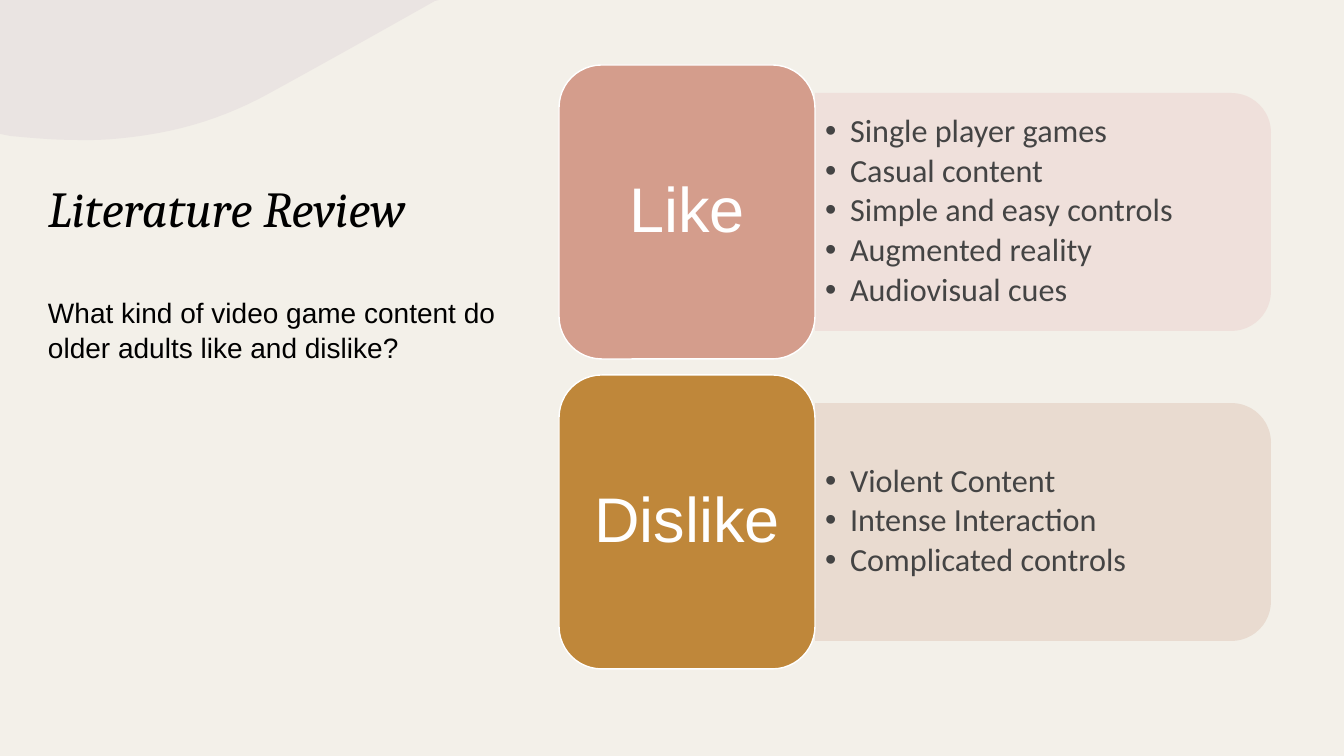
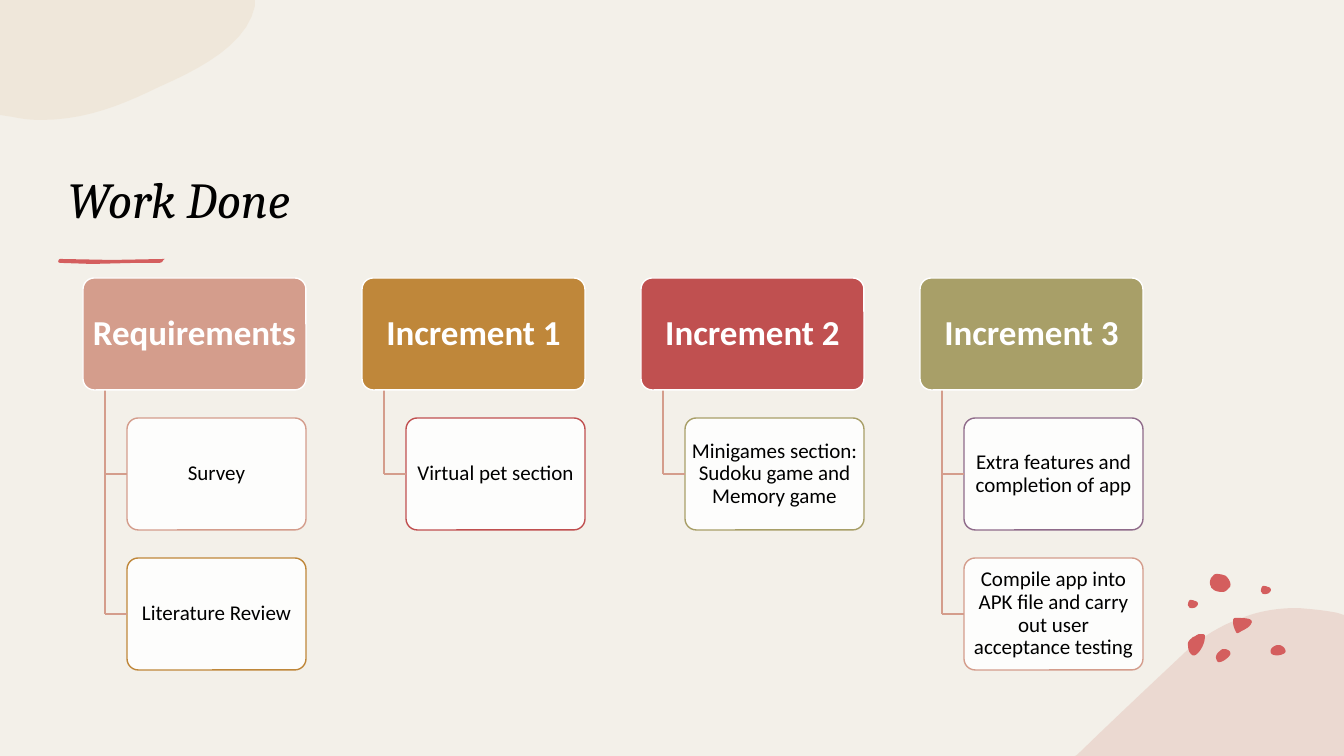
from itertools import cycle

from lxml.etree import SubElement
from pptx import Presentation
from pptx.dml.color import RGBColor
from pptx.enum.shapes import MSO_CONNECTOR, MSO_SHAPE
from pptx.enum.text import MSO_ANCHOR, MSO_AUTO_SIZE, PP_ALIGN
from pptx.oxml.ns import qn
from pptx.util import Emu, Pt

EMU_PER_PX = 914400 / 100.8
SLIDE_W, SLIDE_H = 1344, 756
CURVE_STEPS = 10

CREAM = RGBColor(0xF3, 0xF0, 0xE9)
WHITE = RGBColor(0xFF, 0xFF, 0xFF)
BLACK = RGBColor(0x00, 0x00, 0x00)
GREY = RGBColor(0x44, 0x44, 0x44)
ROSE = RGBColor(0xD4, 0x9D, 0x8C)
OCHRE = RGBColor(0xBF, 0x87, 0x3A)
RED = RGBColor(0xC0, 0x50, 0x50)
OLIVE = RGBColor(0xA8, 0x9F, 0x68)
PLUM = RGBColor(0x8F, 0x6B, 0x8A)
CORAL = RGBColor(0xD4, 0x5E, 0x5E)
MAUVE = RGBColor(0xD2, 0xC4, 0xD0)
SAND = RGBColor(0xE7, 0xCF, 0xAF)
BLUSH = RGBColor(0xE5, 0xC4, 0xBA)
PALE_ROSE = RGBColor(0xEF, 0xDF, 0xDA)
PALE_OCHRE = RGBColor(0xE8, 0xD9, 0xCE)
ACCENTS = (ROSE, OCHRE, RED, OLIVE, PLUM)

TITLE = {"name": "Cambria", "size": Pt(36), "italic": True, "bold": False}
QUESTION = {"name": "Arial", "size": Pt(20)}
LIST_ITEM = {"name": "Calibri", "size": Pt(23)}
VERDICT = {"name": "Arial", "size": Pt(45)}
STAGE = {"name": "Calibri", "size": Pt(25), "bold": True}
TASK = {"name": "Calibri", "size": Pt(15)}

CENTRED = {"alignment": PP_ALIGN.CENTER, "line_spacing": 0.9}
LEFT = {"alignment": PP_ALIGN.LEFT}
BULLETED = {"alignment": PP_ALIGN.LEFT, "line_spacing": 0.9,
            "space_before": Pt(0), "space_after": Pt(3.5)}

# Outlines: a pair is a straight step, six numbers are a Bézier step.
MAUVE_CORNER = [(75, 140), (53, 140, 31, 138, 10, 136), (0, 134), (0, 0), (439, 0),
                (435, 1), (380, 32, 323, 64, 270, 93), (234, 113, 197, 126, 159, 133),
                (131, 138, 103, 141, 75, 140)]
SAND_CORNER = [(0, 0), (255, 0), (255, 6), (247, 44, 202, 68, 159, 87),
               (124, 104, 87, 120, 41, 120), (31, 120, 22, 119, 13, 117), (0, 115)]
BLUSH_CORNER = [(1298, 608), (1310, 609, 1324, 610, 1338, 613), (1344, 615),
                (1344, 756), (1075, 756), (1077, 755),
                (1111, 722, 1146, 689, 1178, 659), (1201, 636, 1223, 624, 1247, 616),
                (1264, 610, 1281, 608, 1298, 608)]
BRUSH_STROKE = [(60, 259), (112, 260), (165, 259), (162, 260, 164, 263, 158, 263),
                (134, 263), (92, 264), (61, 263), (57, 263, 58, 260, 60, 259)]
PEBBLE = [(1261, 591), (1261, 591, 1261, 587, 1263, 586),
          (1265, 586, 1266, 586, 1268, 587), (1269, 587, 1271, 588, 1271, 590),
          (1271, 591, 1270, 592, 1269, 593), (1268, 594, 1263, 595, 1262, 593),
          (1262, 592, 1261, 592, 1261, 591)]
SPECKLES = [
    [(1223, 649), (1225, 649, 1226, 649, 1228, 650), (1230, 651, 1231, 653, 1230, 655),
     (1228, 658, 1222, 663, 1218, 662), (1217, 661, 1216, 659, 1216, 657),
     (1216, 655, 1218, 652, 1220, 651), (1221, 650, 1222, 649, 1223, 649)],
    [(1200, 634), (1203, 634, 1205, 634, 1205, 636), (1205, 643, 1202, 648, 1199, 652),
     (1196, 655, 1194, 657, 1191, 654), (1188, 651, 1188, 646, 1188, 643),
     (1189, 640, 1191, 639, 1193, 637), (1195, 637, 1197, 634, 1200, 634)],
    [(1279, 645), (1281, 645, 1284, 647, 1285, 649), (1286, 651, 1286, 653, 1283, 654),
     (1280, 656, 1272, 656, 1271, 653), (1270, 651, 1271, 649, 1272, 648),
     (1274, 646, 1276, 645, 1279, 645)],
    [(1211, 586), (1210, 586, 1209, 580, 1212, 577), (1214, 575, 1214, 574, 1217, 574),
     (1220, 574, 1224, 575, 1226, 576), (1228, 578, 1232, 583, 1230, 587),
     (1227, 590, 1226, 592, 1222, 592), (1219, 592, 1214, 591, 1213, 589),
     (1211, 588, 1211, 587, 1211, 586)],
    [(1238, 618), (1244, 618, 1255, 618, 1251, 624), (1249, 628, 1243, 630, 1240, 632),
     (1238, 633, 1237, 634, 1236, 632), (1234, 628, 1233, 625, 1233, 621),
     (1233, 617, 1236, 618, 1238, 618)],
    PEBBLE,
    [tuple(n + (-73, 14)[i % 2] for i, n in enumerate(step)) for step in PEBBLE],
]

OPINIONS = [
    ("Like", ROSE, PALE_ROSE,
     ["Single player games", "Casual content", "Simple and easy controls",
      "Augmented reality", "Audiovisual cues"]),
    ("Dislike", OCHRE, PALE_OCHRE,
     ["Violent Content", "Intense Interaction", "Complicated controls"]),
]
STAGES = [
    ("Requirements", ["Survey", "Literature Review"]),
    ("Increment 1", ["Virtual pet section"]),
    ("Increment 2", ["Minigames section: Sudoku game and Memory game"]),
    ("Increment 3", ["Extra features and completion of app",
                     "Compile app into APK file and carry out user acceptance testing"]),
]


def px(length):
    return Emu(round(length * EMU_PER_PX))


def apply(target, values):
    for attribute, value in values.items():
        setattr(target, attribute, value)


def place(shape, left, top, width, height):
    apply(shape, {"left": px(left), "top": px(top),
                  "width": px(width), "height": px(height)})


def write(shape, lines, font, color, paragraph_format, anchor, margins=(10, 5)):
    """Fill a shape with one formatted paragraph per line."""
    frame = shape.text_frame
    side, end = map(px, margins)
    apply(frame, {"word_wrap": True, "auto_size": MSO_AUTO_SIZE.NONE,
                  "vertical_anchor": anchor, "margin_left": side,
                  "margin_right": side, "margin_top": end, "margin_bottom": end})
    frame.text = "\n".join(lines)
    for paragraph in frame.paragraphs:
        apply(paragraph, paragraph_format)
        run_font = paragraph.runs[0].font
        apply(run_font, font)
        run_font.color.rgb = color


def paint(shape, fill, line=None, opacity=100):
    shape.shadow.inherit = False
    shape.fill.solid()
    shape.fill.fore_color.rgb = fill
    if opacity < 100:
        color = shape.element.spPr.find(qn("a:solidFill"))[0]
        SubElement(color, qn("a:alpha"), val=str(opacity * 1000))
    if line is None:
        shape.line.fill.background()
    else:
        shape.line.color.rgb = line
        shape.line.width = Pt(1)


def add_title(slide, text, box, anchor):
    title = slide.shapes.title
    place(title, *box)
    write(title, [text], TITLE, BLACK, LEFT, anchor)


def flatten(outline):
    """Turn straight and Bézier steps into a list of points."""
    points = [outline[0]]
    for step in outline[1:]:
        if len(step) == 2:
            points.append(step)
            continue
        corners = [points[-1], step[:2], step[2:4], step[4:]]
        for i in range(1, CURVE_STEPS + 1):
            t = i / CURVE_STEPS
            weights = ((1 - t) ** 3, 3 * t * (1 - t) ** 2, 3 * t * t * (1 - t), t ** 3)
            points.append(tuple(sum(w * c[axis] for w, c in zip(weights, corners))
                                for axis in (0, 1)))
    return points


def add_blob(slide, outline, color, opacity=100):
    start, *rest = [(px(x), px(y)) for x, y in flatten(outline)]
    builder = slide.shapes.build_freeform(*start, scale=1)
    builder.add_line_segments(rest, close=True)
    paint(builder.convert_to_shape(), color, opacity=opacity)


def add_card(slide, box, text, font, text_color, fill, line,
             opacity=100, margins=(0, 0), rounding=None):
    card = slide.shapes.add_shape(MSO_SHAPE.ROUNDED_RECTANGLE, *map(px, box))
    if rounding is not None:
        card.adjustments[0] = rounding
    paint(card, fill, line, opacity)
    write(card, [text], font, text_color, CENTRED, MSO_ANCHOR.MIDDLE, margins)
    return card


def add_panel(slide, left, top, width, height, color):
    """Add a panel rounded on its right side only."""
    shift = (width - height) / 2
    panel = slide.shapes.add_shape(MSO_SHAPE.ROUND_2_SAME_RECTANGLE, px(left + shift),
                                   px(top - shift), px(height), px(width))
    panel.rotation = 90
    paint(panel, color, opacity=90)


def add_list(slide, placeholder, box, items):
    """Lay a bulleted body placeholder over the shapes drawn so far."""
    slide.shapes.element.append(placeholder.element)
    place(placeholder, *box)
    write(placeholder, items, LIST_ITEM, GREY, BULLETED, MSO_ANCHOR.MIDDLE)
    for paragraph in placeholder.text_frame.paragraphs:
        properties = paragraph._p.get_or_add_pPr()
        properties.set("marL", str(px(25)))
        properties.set("indent", str(px(-25)))


def add_line(slide, x1, y1, x2, y2):
    line = slide.shapes.add_connector(MSO_CONNECTOR.STRAIGHT,
                                      *map(px, (x1, y1, x2, y2)))
    line.line.color.rgb = ROSE
    line.line.width = Pt(1)
    SubElement(line.element.spPr, qn("a:effectLst"))
    return line


def build_review(slide):
    add_title(slide, "Literature Review", (38, 172, 488, 100), MSO_ANCHOR.TOP)
    add_blob(slide, MAUVE_CORNER, MAUVE, 25)
    question = slide.shapes.add_textbox(*map(px, (38, 289, 499, 78)))
    write(question, ["What kind of video game content do older adults like and dislike?"],
          QUESTION, BLACK, {"line_spacing": 1.05}, MSO_ANCHOR.TOP)

    bodies = [p for p in slide.placeholders if p.placeholder_format.idx]
    for row, (verdict, color, pale, items) in enumerate(OPINIONS):
        top = 65 + 310 * row
        add_panel(slide, 815, top + 28, 456, 238, pale)
        add_list(slide, bodies[row], (815, top + 40, 443, 213), items)
        add_card(slide, (559, top, 256, 294), verdict, VERDICT, WHITE, color, WHITE)


def build_work(slide):
    add_blob(slide, SAND_CORNER, SAND, 25)
    add_title(slide, "Work Done", (58, 88, 1110, 146), MSO_ANCHOR.BOTTOM)
    add_blob(slide, BRUSH_STROKE, CORAL)
    add_blob(slide, BLUSH_CORNER, BLUSH, 50)
    for speckle in SPECKLES:
        add_blob(slide, speckle, CORAL)

    first_row, row_step, card_h = 278, 140, 112
    task_lines = cycle(ACCENTS)
    for column, ((stage, tasks), accent) in enumerate(zip(STAGES, ACCENTS)):
        left = 83 + 279 * column
        trunk = left + 22
        last_middle = first_row + row_step * len(tasks) + card_h // 2
        add_line(slide, trunk, first_row + card_h, trunk, last_middle)
        add_card(slide, (left, first_row, 223, card_h), stage, STAGE, WHITE,
                 accent, WHITE, margins=(5, 3), rounding=0.1)
        for row, task in enumerate(tasks, start=1):
            top = first_row + row_step * row
            card = add_card(slide, (left + 44, top, 179, card_h), task, TASK, BLACK,
                            WHITE, next(task_lines), 90, (3, 2), 0.1)
            middle = top + card_h // 2
            branch = add_line(slide, trunk, middle, left + 44, middle)
            branch.end_connect(card, 1)


def main():
    deck = Presentation()
    apply(deck, {"slide_width": px(SLIDE_W), "slide_height": px(SLIDE_H)})
    background = deck.slide_master.background.fill
    background.solid()
    background.fore_color.rgb = CREAM
    for layout, build in (("Two Content", build_review), ("Title Only", build_work)):
        build(deck.slides.add_slide(deck.slide_layouts.get_by_name(layout)))
    deck.save("out.pptx")


if __name__ == "__main__":
    main()
